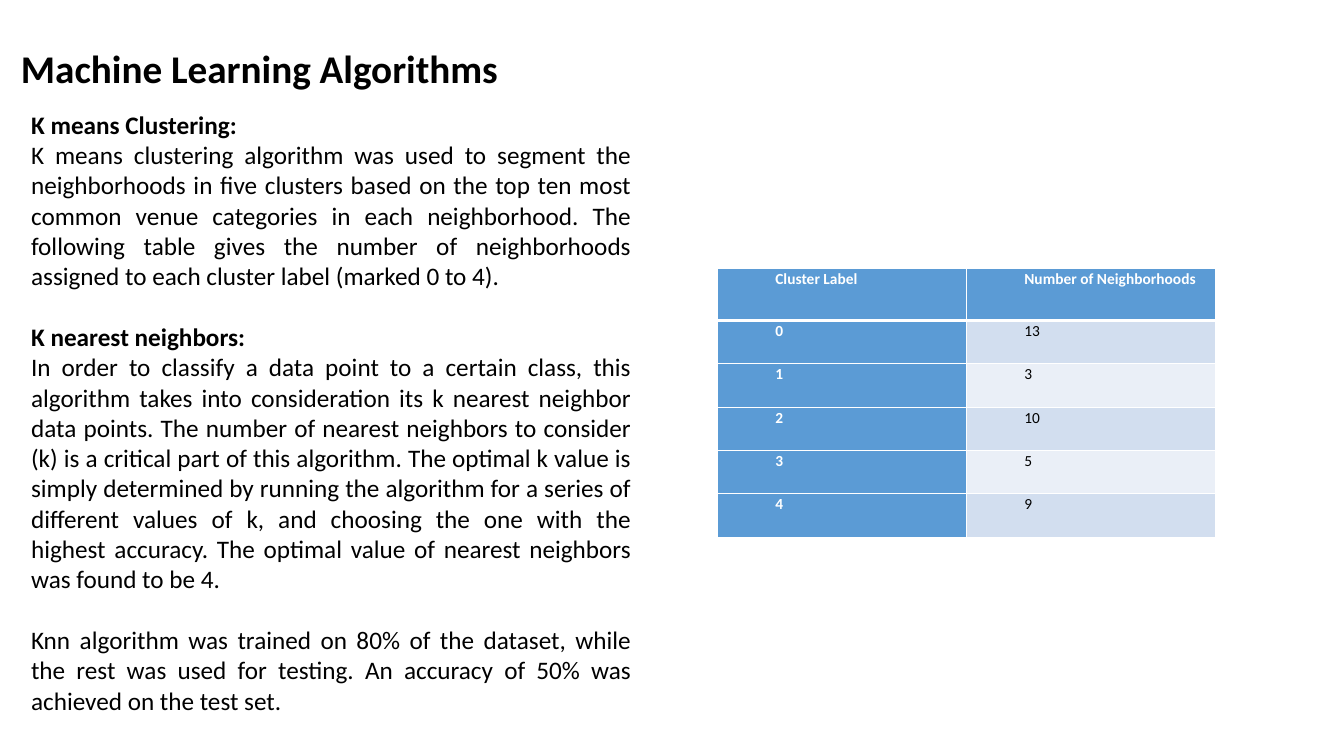
from lxml.etree import SubElement
from pptx import Presentation
from pptx.dml.color import RGBColor
from pptx.enum.text import MSO_ANCHOR, PP_ALIGN
from pptx.oxml.ns import qn
from pptx.util import Emu, Pt

COLORS = {"ink": "000000", "white": "FFFFFF", "blue": "5B9BD5",
          "band": "D2DEEF", "pale": "EAEFF7"}
EMU_PER_PX = 9144
BLANK_LAYOUT = 6
SECTIONS = [
    ("K means Clustering:", True, 0),
    ("K means clustering algorithm was used to segment the neighborhoods in five "
     "clusters based on the top ten most common venue categories in each neighborhood. "
     "The following table gives the number of neighborhoods assigned to each cluster "
     "label (marked 0 to 4).", False, 0),
    ("K nearest neighbors:", True, 22),
    ("In order to classify a data point to a certain class, this algorithm takes into "
     "consideration its k nearest neighbor data points. The number of nearest neighbors "
     "to consider (k) is a critical part of this algorithm. The optimal k value is simply "
     "determined by running the algorithm for a series of different values of k, and "
     "choosing the one with the highest accuracy. The optimal value of nearest neighbors "
     "was found to be 4.", False, 0),
    ("Knn algorithm was trained on 80% of the dataset, while the rest was used for "
     "testing. An accuracy of 50% was achieved on the test set.", False, 22),
]
CLUSTERS = [("Cluster Label", "Number of Neighborhoods"),
            ("0", "13"), ("1", "3"), ("2", "10"), ("3", "5"), ("4", "9")]


def px(length):
    return Emu(length * EMU_PER_PX)


def apply(target, values):
    for name, value in values.items():
        setattr(target, name, value)


class SlideBuilder:
    """Holds the text style and the current slide, and adds elements to it."""

    def __init__(self, slide, font_name):
        self.slide = slide
        self.font_name = font_name

    def add_text(self, para, text, size, bold=False, color="ink", **layout):
        apply(para, layout)
        span = para.add_run()
        span.text = text
        apply(span.font, {"name": self.font_name, "size": Pt(size), "bold": bold})
        span.font.color.rgb = RGBColor.from_string(COLORS[color])

    def text_box(self, bounds, lines, size, **layout):
        box = self.slide.shapes.add_textbox(*map(px, bounds))
        frame = box.text_frame
        apply(frame, {"word_wrap": True, "vertical_anchor": MSO_ANCHOR.MIDDLE})
        for index, (text, bold, gap) in enumerate(lines):
            para = frame.add_paragraph() if index else frame.paragraphs[0]
            self.add_text(para, text, size, bold, space_before=Pt(gap), **layout)

    def borders(self, cell, widths):
        properties = cell._tc.get_or_add_tcPr()
        for index, (side, width) in enumerate(widths.items()):
            line = SubElement(properties, qn(f"a:ln{side}"), w=str(Pt(width)))
            fill = SubElement(line, qn("a:solidFill"))
            SubElement(fill, qn("a:srgbClr"), val=COLORS["white"])
            properties.insert(index, line)

    def table(self, bounds, rows, row_heights, indent):
        frame = self.slide.shapes.add_table(len(rows), len(rows[0]), *map(px, bounds))
        table = frame.table
        for row, height in zip(table.rows, row_heights):
            row.height = px(height)
        for row, values in enumerate(rows):
            for column, text in enumerate(values):
                heading = row == 0 or column == 0
                fill = "blue" if heading else "band" if row % 2 else "pale"
                cell = table.cell(row, column)
                apply(cell, {"margin_left": px(7), "margin_right": px(7),
                             "margin_top": 0, "margin_bottom": 0})
                cell.fill.solid()
                cell.fill.fore_color.rgb = RGBColor.from_string(COLORS[fill])
                self.borders(cell, {"L": 1, "R": 1, "T": 3 if row == 1 else 1,
                                    "B": 3 if row == 0 else 1})
                para = cell.text_frame.paragraphs[0]
                para._p.get_or_add_pPr().set("marL", str(px(indent)))
                self.add_text(para, text, 11, heading, "white" if heading else "ink",
                              alignment=PP_ALIGN.JUSTIFY, line_spacing=1.07)


def main():
    deck = Presentation()
    apply(deck, {"slide_width": px(1333), "slide_height": px(750)})
    page = SlideBuilder(deck.slides.add_slide(deck.slide_layouts[BLANK_LAYOUT]), "Calibri")
    page.text_box((11, 30, 1150, 80), [("Machine Learning Algorithms", True, 0)], 28,
                  line_spacing=0.9)
    page.table((712, 266, 494, 267), CLUSTERS, [52] + [43] * 5, 50)
    page.text_box((21, 101, 615, 616), SECTIONS, 18, alignment=PP_ALIGN.JUSTIFY)
    deck.save("out.pptx")


if __name__ == "__main__":
    main()
